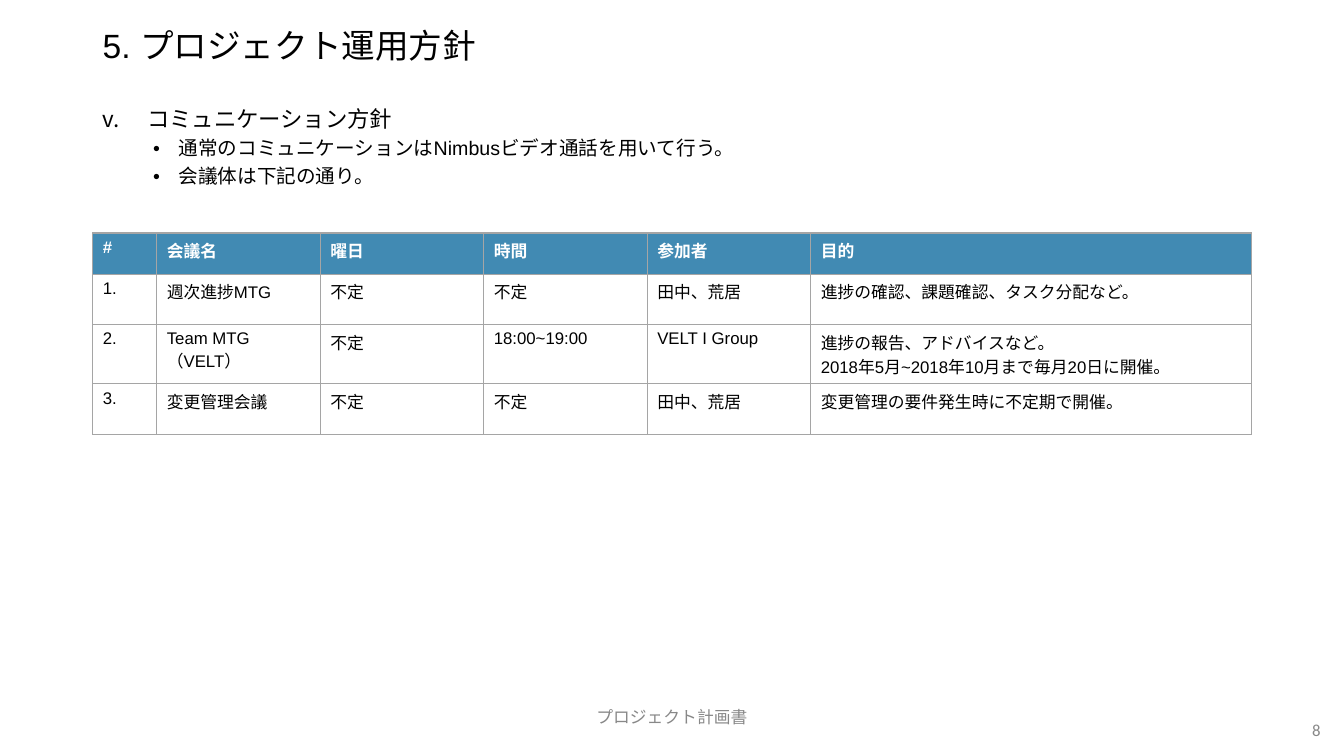
import pptx
import pptx.util
import pptx.dml.color
import pptx.enum.text
import pptx.oxml
import pptx.oxml.ns

Cm = pptx.util.Cm
Pt = pptx.util.Pt
RGB = pptx.dml.color.RGBColor
ALIGN = pptx.enum.text.PP_ALIGN
ANCHOR = pptx.enum.text.MSO_ANCHOR

BLACK = RGB(0x00, 0x00, 0x00)
WHITE = RGB(0xFF, 0xFF, 0xFF)
GREY = RGB(0x88, 0x88, 0x88)
BLUE = RGB(0x41, 0x8A, 0xB3)
RULE = RGB(0xA5, 0xA5, 0xA5)

TITLE = "5. プロジェクト運用方針"
TOPIC = "コミュニケーション方針"
POINTS = [
    "通常のコミュニケーションはNimbusビデオ通話を用いて行う。",
    "会議体は下記の通り。",
]
FOOTER = "プロジェクト計画書"
NUMBER = "8"
ROWS = [
    ("#", "会議名", "曜日", "時間", "参加者", "目的"),
    ("1.", "週次進捗MTG", "不定", "不定", "田中、荒居",
     "進捗の確認、課題確認、タスク分配など。"),
    ("2.", "Team MTG（VELT）", "不定", "18:00~19:00", "VELT I Group",
     "進捗の報告、アドバイスなど。\n2018年5月~2018年10月まで毎月20日に開催。"),
    ("3.", "変更管理会議", "不定", "不定", "田中、荒居",
     "変更管理の要件発生時に不定期で開催。"),
]
LEFT, WIDTH = 2.34, 29.21
WIDTHS = [1.61] + [4.12] * 4 + [11.12]
HEIGHTS = [1.04, 1.27, 1.49, 1.27]


def style(part, size, color, font="Arial", bold=False):
    for run in part.runs:
        run.font.size = Pt(size)
        run.font.name = font
        run.font.bold = bold
        run.font.color.rgb = color


def add_xml(parent, tag, inner="", attrs=""):
    space = pptx.oxml.ns.nsdecls("a")
    parent.append(pptx.oxml.parse_xml(f"<a:{tag} {space} {attrs}>{inner}</a:{tag}>"))


def add_text(left, top, width, height, lines, anchor):
    box = slide.shapes.add_textbox(Cm(left), Cm(top), Cm(width), Cm(height))
    frame = box.text_frame
    frame.word_wrap = True
    frame.vertical_anchor = anchor
    frame.text = "\n".join(lines)
    return frame.paragraphs


def add_list(part, indent, hang, tag, attrs):
    props = part._p.get_or_add_pPr()
    props.set("marL", str(Cm(indent)))
    props.set("indent", str(-Cm(hang)))
    add_xml(props, "buClr", f'<a:srgbClr val="{BLACK}"/>')
    add_xml(props, "buFont", attrs='typeface="Arial"')
    add_xml(props, tag, attrs=attrs)


def add_border(cell):
    props = cell._tc.get_or_add_tcPr()
    for side in ("lnL", "lnR", "lnT", "lnB"):
        add_xml(props, side, f'<a:solidFill><a:srgbClr val="{RULE}"/></a:solidFill>',
                f'w="{Pt(1)}"')


deck = pptx.Presentation()
deck.slide_width, deck.slide_height = Cm(33.87), Cm(19.05)
slide = deck.slides.add_slide(deck.slide_layouts[6])

title = add_text(LEFT, 0.36, WIDTH, 1.7, [TITLE], ANCHOR.MIDDLE)[0]
title.line_spacing = 0.9
style(title, 24, BLACK)

topic, *points = add_text(LEFT, 2.59, WIDTH, 14.55, [TOPIC] + POINTS, ANCHOR.TOP)
topic.line_spacing = 0.9
style(topic, 16, BLACK)
add_list(topic, 1.12, 1.12, "buAutoNum", 'type="romanLcPeriod" startAt="5"')
for point in points:
    point.level = 1
    point.line_spacing = 0.9
    point.space_before = Pt(5)
    style(point, 14, BLACK)
    add_list(point, 1.91, 0.64, "buChar", 'char="•"')

for text, left, top, width, align in [
    (FOOTER, 11.22, 17.55, 11.43, ALIGN.CENTER),
    (NUMBER, 31.24, 17.88, 2.29, ALIGN.RIGHT),
]:
    note = add_text(left, top, width, 1.02, [text], ANCHOR.MIDDLE)[0]
    note.alignment = align
    style(note, 12, GREY, "Calibri")

table = slide.shapes.add_table(len(ROWS), len(WIDTHS), Cm(LEFT), Cm(5.87),
                               Cm(WIDTH), Cm(sum(HEIGHTS))).table
for column, width in zip(table.columns, WIDTHS):
    column.width = Cm(width)
for i, (row, height) in enumerate(zip(table.rows, HEIGHTS)):
    row.height = Cm(height)
    head = i == 0
    for cell, text in zip(row.cells, ROWS[i]):
        cell.text_frame.text = text
        add_border(cell)
        cell.fill.solid()
        cell.fill.fore_color.rgb = BLUE if head else WHITE
        for part in cell.text_frame.paragraphs:
            style(part, 12, WHITE if head else BLACK, bold=head)

deck.save("out.pptx")
